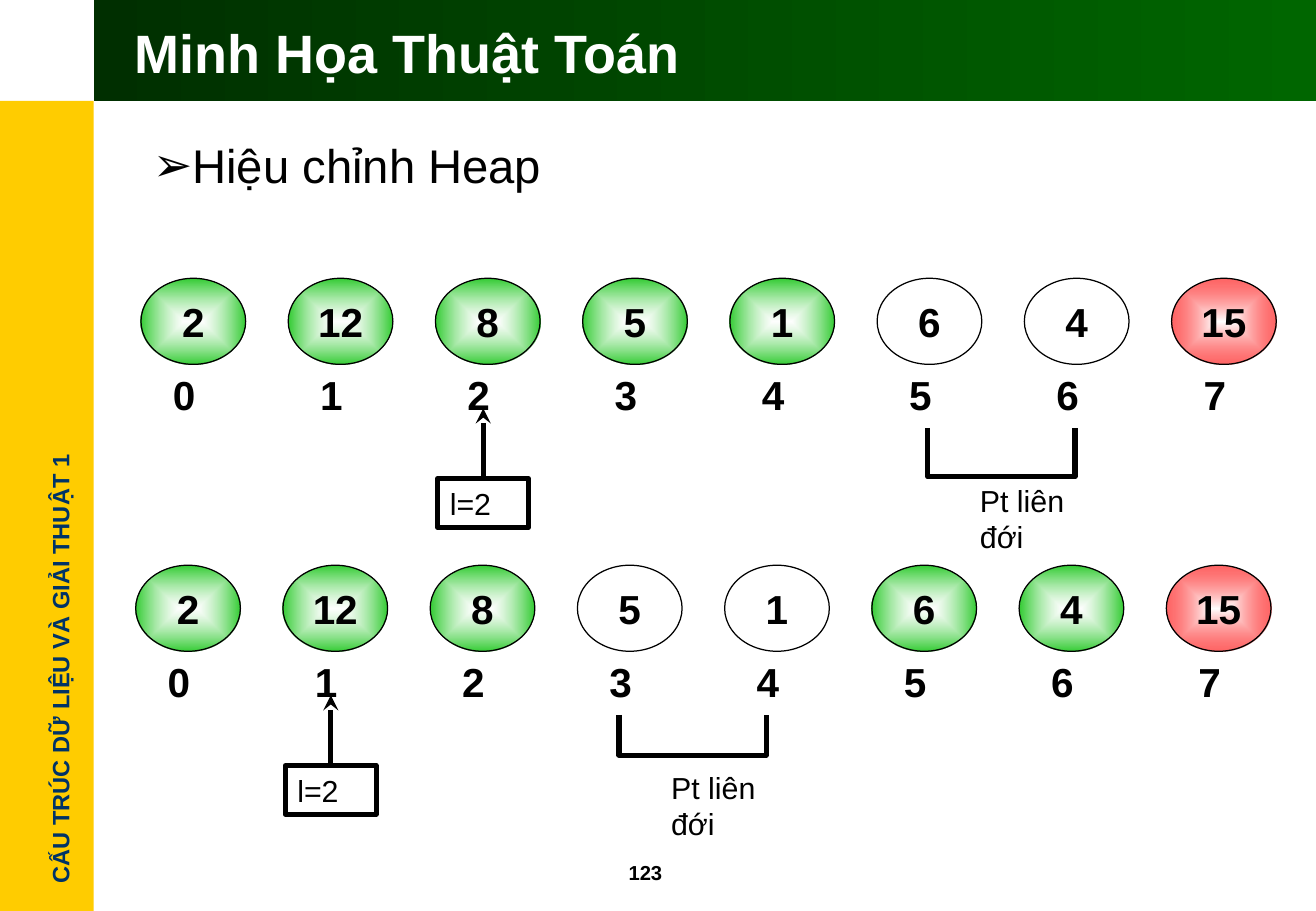
"""Build the slide that shows two steps of the heap adjustment."""
from pptx import Presentation
from pptx.dml.color import RGBColor
from pptx.enum.shapes import MSO_CONNECTOR, MSO_SHAPE
from pptx.enum.text import MSO_ANCHOR, PP_ALIGN
from pptx.oxml import parse_xml
from pptx.oxml.ns import nsdecls, qn
from pptx.util import Cm, Pt

COLORS = {
    "black": "000000", "white": "FFFFFF", "yellow": "FFCC00", "navy": "003366",
    "dark": "002F00", "forest": "006600", "green": "33CC33", "red": "FF0000",
}
STYLES = {
    "title": {"size": Pt(32), "bold": True},
    "heading": {"size": Pt(28), "bold": False},
    "number": {"size": Pt(24), "bold": True},
    "note": {"size": Pt(18), "bold": False},
    "course": {"size": Pt(14), "bold": True},
    "page": {"size": Pt(12), "bold": True},
}
NODE_FILLS = {
    "heap": [("white", 60), ("green", 100)],
    "joint": [("white", 60)],
    "sorted": [("white", 100), ("red", 60)],
}
VALUES = [2, 12, 8, 5, 1, 6, 4, 15]
PITCH, NODE_WIDTH, NODE_HEIGHT = 3.08, 2.19, 1.8
STEPS = [
    {"left": 2.95, "top": 5.82, "pointer": 2, "joint": (5, 6),
     "bracket_left": 19.41, "depth": 1.02},
    {"left": 2.84, "top": 11.82, "pointer": 1, "joint": (3, 4),
     "bracket_left": 12.95, "depth": 0.84},
]


def rgb(name):
    """Return the named colour."""
    return RGBColor.from_string(COLORS[name])


def write(box, text, style, color="black", align=PP_ALIGN.LEFT, wrap=True, bullet=None):
    """Put one styled paragraph into a box."""
    frame = box.text_frame
    frame.word_wrap = wrap
    frame.vertical_anchor = MSO_ANCHOR.MIDDLE
    para = frame.paragraphs[0]
    para.alignment = align
    if bullet:
        properties = para._p.get_or_add_pPr()
        for xml in (
            f'<a:buClr {nsdecls("a")}><a:srgbClr val="{COLORS[color]}"/></a:buClr>',
            f'<a:buFont {nsdecls("a")} typeface="Arial"/>',
            f'<a:buChar {nsdecls("a")} char="{bullet}"/>',
        ):
            properties.append(parse_xml(xml))
    span = para.add_run()
    span.text = text
    for name, value in {"name": "Arial", **STYLES[style]}.items():
        setattr(span.font, name, value)
    span.font.color.rgb = rgb(color)


def add_text(page, place, text, style, **options):
    """Add a text box at a place given in centimetres."""
    box = page.shapes.add_textbox(*map(Cm, place))
    write(box, text, style, **options)
    return box


def paint(shape, stops, centred=False):
    """Fill a shape with one colour or a gradient of (colour, opacity) stops."""
    if len(stops) == 1:
        shape.fill.solid()
        shape.fill.fore_color.rgb = rgb(stops[0][0])
    else:
        shape.fill.gradient()
        shape.fill.gradient_angle = 0
        for stop, (name, opacity) in zip(shape.fill.gradient_stops, stops):
            stop.color.rgb = rgb(name)
            stop.position = 0 if (name, opacity) == stops[0] else 1
    properties = shape._element.spPr
    for color, (name, opacity) in zip(properties.iter(qn("a:srgbClr")), stops):
        if opacity < 100:
            color.append(parse_xml(f'<a:alpha {nsdecls("a")} val="{opacity * 1000}"/>'))
    if centred and len(stops) > 1:
        gradient = properties.find(qn("a:gradFill"))
        gradient.replace(gradient.find(qn("a:lin")), parse_xml(
            f'<a:path {nsdecls("a")} path="rect">'
            '<a:fillToRect l="50000" t="50000" r="50000" b="50000"/></a:path>'))


def outline(shape, width):
    """Give a shape or connector a black line."""
    shape.line.color.rgb = rgb("black")
    shape.line.width = Pt(width)


def add_shape(page, kind, place, stops=None, line=None, centred=False):
    """Add a preset shape with optional fill and line."""
    shape = page.shapes.add_shape(kind, *map(Cm, place))
    shape.shadow.inherit = False
    if stops:
        paint(shape, stops, centred)
    else:
        shape.fill.background()
    if line:
        outline(shape, line)
    else:
        shape.line.fill.background()
    return shape


def add_node(page, left, top, value, index, role):
    """Add a heap node with its index below."""
    place = (left, top, NODE_WIDTH, NODE_HEIGHT)
    node = add_shape(page, MSO_SHAPE.OVAL, place, NODE_FILLS[role], 0.75, centred=True)
    write(node, str(value), "number", align=PP_ALIGN.CENTER)
    add_text(page, (left - 0.19, top + 1.53, NODE_WIDTH, NODE_HEIGHT),
             str(index), "number", align=PP_ALIGN.CENTER)


def add_pointer(page, left, top):
    """Add the boxed index variable with its arrow upwards."""
    width = 1.9
    box = add_shape(page, MSO_SHAPE.RECTANGLE, (left, top, width, 1.02), line=3)
    write(box, "l=2", "note")
    middle = Cm(left + width / 2)
    arrow = page.shapes.add_connector(
        MSO_CONNECTOR.STRAIGHT, middle, Cm(top), middle, Cm(top - 1.47))
    arrow.begin_connect(box, 0)
    outline(arrow, 3)
    properties = arrow._element.spPr
    properties.find(qn("a:ln")).append(
        parse_xml(f'<a:tailEnd {nsdecls("a")} type="stealth"/>'))
    properties.append(parse_xml(f'<a:effectLst {nsdecls("a")}/>'))


def add_bracket(page, left, top, depth):
    """Add the open bracket below two joint nodes."""
    right, bottom = left + PITCH, top + depth
    builder = page.shapes.build_freeform(Cm(left), Cm(top))
    corners = [(left, bottom), (right, bottom), (right, top)]
    builder.add_line_segments([(Cm(x), Cm(y)) for x, y in corners], close=False)
    bracket = builder.convert_to_shape()
    bracket.shadow.inherit = False
    bracket.fill.background()
    outline(bracket, 3)


def add_step(page, left, top, pointer, joint, bracket_left, depth):
    """Add one row of nodes with its pointer and bracket."""
    for index, value in enumerate(VALUES):
        role = "joint" if index in joint else "heap"
        if index == len(VALUES) - 1:
            role = "sorted"
        add_node(page, left + index * PITCH, top, value, index, role)
    add_pointer(page, left + pointer * PITCH + 0.05, top + 4.19)
    add_text(page, (bracket_left + 0.84, top + 4.13, 2.34, 1.78), "Pt liên đới", "note")
    add_bracket(page, bracket_left, top + 3.13, depth)


def add_frame(page):
    """Add the side band, title bar, heading and page number."""
    add_shape(page, MSO_SHAPE.RECTANGLE, (0, 2.11, 1.96, 16.94), [("yellow", 100)])
    course = add_text(page, (-3.48, 13.56, 9.47, 0.86), "CẤU TRÚC DỮ LIỆU VÀ GIẢI THUẬT 1",
                      "course", color="navy", wrap=False)
    course.rotation = 270
    add_shape(page, MSO_SHAPE.RECTANGLE, (1.96, 0, 25.57, 2.11),
              [("dark", 100), ("forest", 100)])
    add_text(page, (12.9, 17.86, 2.11, 0.76), "123", "page")
    add_text(page, (2.57, 0.23, 24.41, 1.7), "Minh Họa Thuật Toán", "title", color="white")
    add_text(page, (2.95, 2.72, 8.79, 1.45), "Hiệu chỉnh Heap", "heading", bullet="➢")


def main():
    """Build and save the deck."""
    deck = Presentation()
    deck.slide_width, deck.slide_height = Cm(27.53), Cm(19.05)
    page = deck.slides.add_slide(deck.slide_layouts[6])
    add_frame(page)
    for step in STEPS:
        add_step(page, **step)
    deck.save("out.pptx")


if __name__ == "__main__":
    main()
